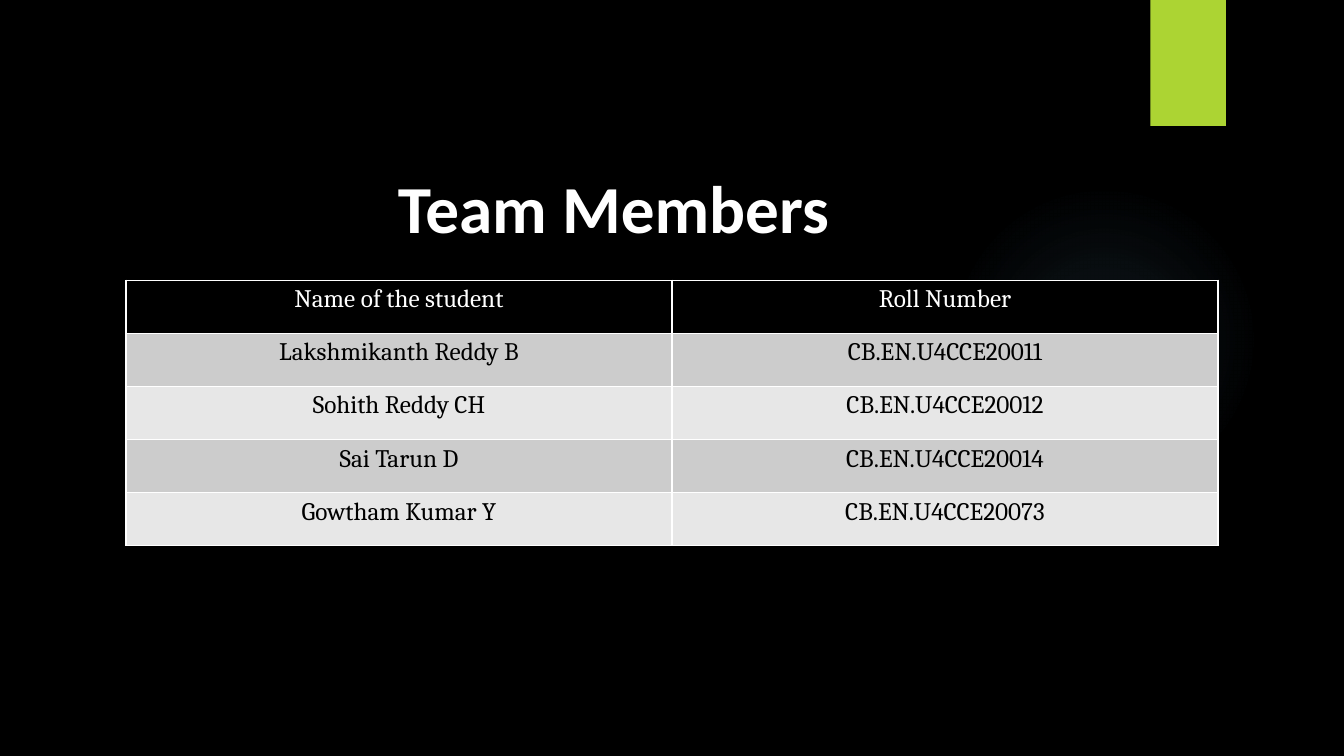
"""Build the Team Members slide with its roll number table."""
from lxml import etree
from pptx import Presentation
from pptx.dml.color import RGBColor
from pptx.enum.shapes import MSO_SHAPE as Preset
from pptx.enum.text import MSO_ANCHOR as Anchor, PP_ALIGN as Align
from pptx.oxml import parse_xml
from pptx.oxml.ns import qn
from pptx.util import Inches, Pt

TITLE = "Team Members"
ROWS = [
    ("Name of the student", "Roll Number"),
    ("Lakshmikanth Reddy B", "CB.EN.U4CCE20011"),
    ("Sohith Reddy CH", "CB.EN.U4CCE20012"),
    ("Sai Tarun D", "CB.EN.U4CCE20014"),
    ("Gowtham Kumar Y", "CB.EN.U4CCE20073"),
]
BLACK, WHITE, LIME, GLOW = "000000", "FFFFFF", "ACD433", "7AC4F0"
BANDS = ("E7E7E7", "CCCCCC")
GLOW_STOPS = [(0, 7), (36, 6), (69, 0)]
GLOW_BOX = (9.41, 1.83, 3.08, 3.08)
TAB_BOX = (11.41, 0, 0.75, 1.25)
TITLE_BOX = (1.26, 1.33, 9.65, 1.17)
TABLE_BOX = (1.25, 2.78, 10.83, 2.63)
TITLE_FONT = {"name": "Calibri", "size": Pt(48), "bold": True}
CELL_FONT = {"name": "Cambria", "size": Pt(18), "bold": False}
DRAWING = 'xmlns:a="http://schemas.openxmlformats.org/drawingml/2006/main"'


def paint(fill, color):
    fill.solid()
    fill.fore_color.rgb = RGBColor.from_string(color)


def inches(box):
    return [Inches(length) for length in box]


def write(frame, text, font, color):
    para = frame.paragraphs[0]
    para.alignment = Align.CENTER
    span = para.add_run()
    span.text = text
    for name, value in font.items():
        setattr(span.font, name, value)
    span.font.color.rgb = RGBColor.from_string(color)


def add_plain_shape(page, preset, box, color):
    shape = page.shapes.add_shape(preset, *inches(box))
    shape.shadow.inherit = False
    shape.line.fill.background()
    paint(shape.fill, color)
    return shape


def add_glow(page):
    glow = add_plain_shape(page, Preset.OVAL, GLOW_BOX, GLOW)
    stops = "".join(
        f'<a:gs pos="{place * 1000}"><a:srgbClr val="{GLOW}">'
        f'<a:alpha val="{alpha * 1000}"/></a:srgbClr></a:gs>'
        for place, alpha in GLOW_STOPS)
    gradient = parse_xml(
        f'<a:gradFill {DRAWING} rotWithShape="1"><a:gsLst>{stops}</a:gsLst>'
        '<a:path path="circle"><a:fillToRect l="50000" t="50000" r="50000" '
        'b="50000"/></a:path></a:gradFill>')
    properties = glow.element.spPr
    properties.replace(properties.find(qn("a:solidFill")), gradient)


def add_tab(page):
    tab = add_plain_shape(page, Preset.RECTANGLE, TAB_BOX, LIME)
    effects = tab.element.spPr.find(qn("a:effectLst"))
    effects.append(parse_xml(
        f'<a:outerShdw {DRAWING} blurRad="{Pt(3)}" dist="{Pt(2)}" dir="5400000" '
        f'rotWithShape="0"><a:srgbClr val="{BLACK}"><a:alpha val="45000"/>'
        '</a:srgbClr></a:outerShdw>'))


def add_borders(cell):
    properties = cell._tc.get_or_add_tcPr()
    for side in "LRTB":
        line = etree.SubElement(properties, qn(f"a:ln{side}"), w=str(Pt(1)))
        fill = etree.SubElement(line, qn("a:solidFill"))
        etree.SubElement(fill, qn("a:srgbClr"), val=WHITE)


def add_title(page):
    frame = page.shapes.add_textbox(*inches(TITLE_BOX)).text_frame
    frame.word_wrap = True
    frame.vertical_anchor = Anchor.BOTTOM
    write(frame, TITLE, TITLE_FONT, WHITE)


def add_members(page):
    table = page.shapes.add_table(len(ROWS), len(ROWS[0]), *inches(TABLE_BOX)).table
    for row, texts in enumerate(ROWS):
        fill, color = (BANDS[row % 2], BLACK) if row else (BLACK, WHITE)
        for column, text in enumerate(texts):
            cell = table.cell(row, column)
            add_borders(cell)
            paint(cell.fill, fill)
            write(cell.text_frame, text, CELL_FONT, color)


def main():
    deck = Presentation()
    deck.slide_width, deck.slide_height = Inches(13.33), Inches(7.5)
    page = deck.slides.add_slide(deck.slide_layouts[6])
    paint(page.background.fill, BLACK)
    for add_part in (add_glow, add_tab, add_title, add_members):
        add_part(page)
    deck.save("out.pptx")


if __name__ == "__main__":
    main()
